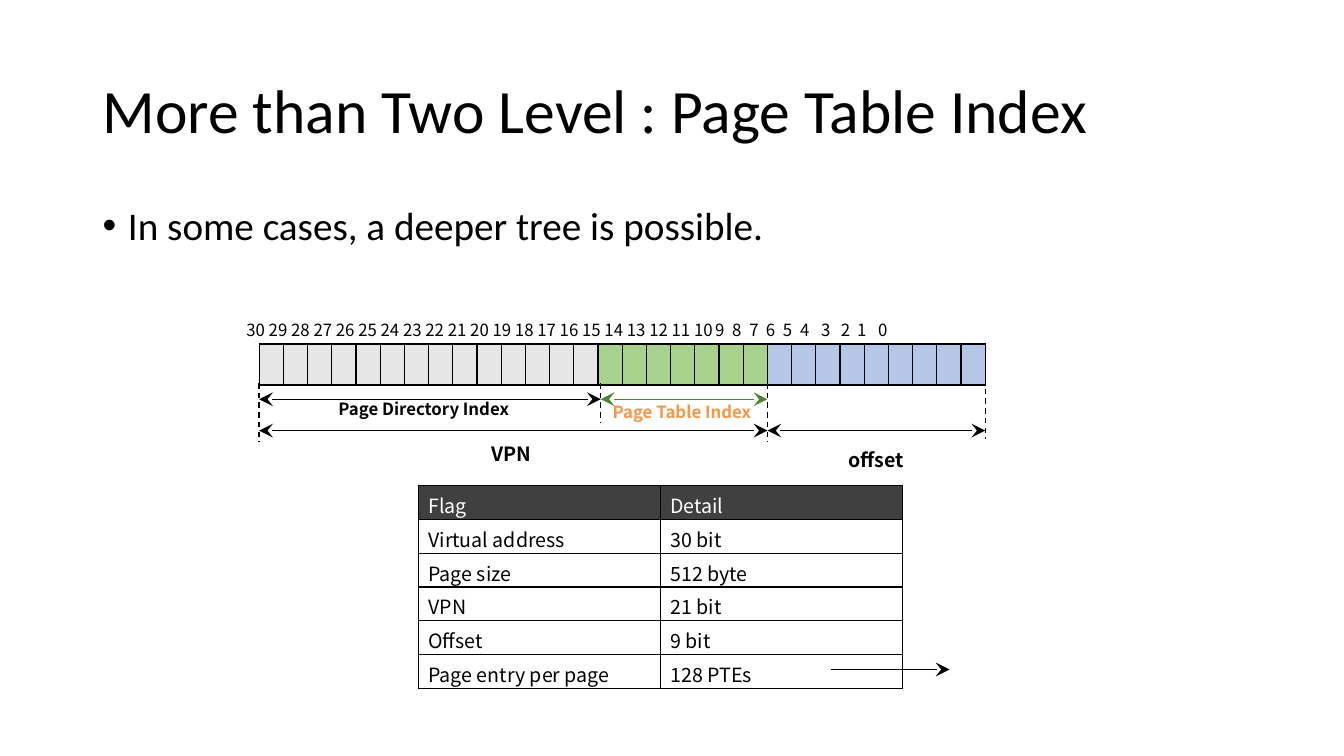
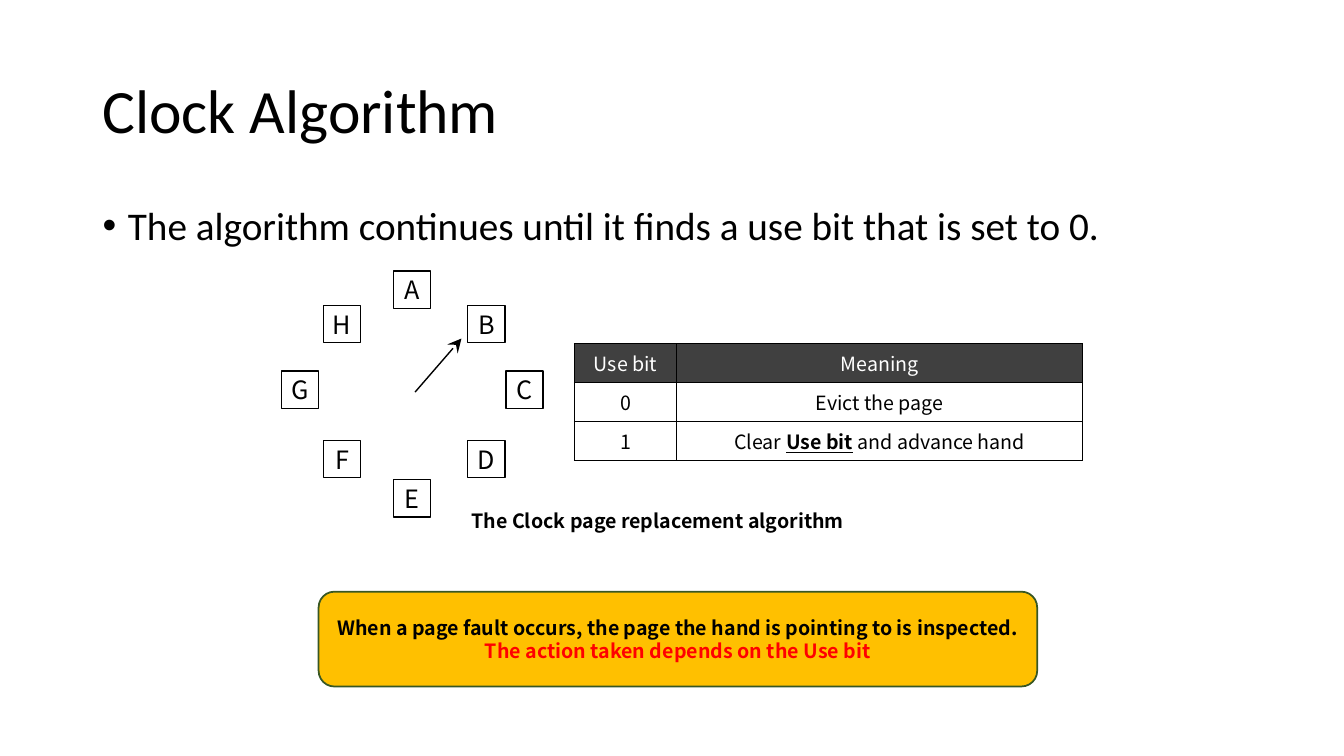
import dataclasses
import itertools
import typing

import lxml.etree
import pptx
import pptx.dml.color
import pptx.enum.dml
import pptx.enum.shapes
import pptx.enum.text
import pptx.oxml.ns
import pptx.util

Cm = pptx.util.Cm
Pt = pptx.util.Pt
qn = pptx.oxml.ns.qn
ALIGN = pptx.enum.text.PP_ALIGN
ANCHOR = pptx.enum.text.MSO_ANCHOR
SHAPE = pptx.enum.shapes.MSO_SHAPE

BLACK, WHITE, HEADER = "000000", "FFFFFF", "404040"
DIRECTORY, PAGE_TABLE, OFFSET = "E7E6E6", "A9D18E", "B4C7E7"
GREEN, ORANGE, AMBER, RED, BANNER_EDGE = "548235", "F79646", "FFC000", "FF0000", "385723"
HEADING_FONT, DIAGRAM_FONT = "Calibri", "Noto Sans CJK KR"

BIT_WIDTH, BITS_LEFT = 0.61, 6.53
VPN_EDGE = BITS_LEFT + 21 * BIT_WIDTH
BITS_RIGHT = BITS_LEFT + 30 * BIT_WIDTH
DIRECTORY_EDGE = 15.14
LOW_BIT_STOPS = (11.93, 12.36, 12.79, 13.21, 13.64, 14.07, 14.6, 15.1, 15.51, 16.04)


class Box(typing.NamedTuple):
    """Position and size in centimetres."""
    left: float
    top: float
    width: float
    height: float

    def lengths(self) -> list:
        """Give the four values as lengths."""
        return [Cm(value) for value in self]


@dataclasses.dataclass(frozen=True)
class Line:
    """A straight line with optional dashes and stealth heads."""
    x1: float
    y1: float
    x2: float
    y2: float
    heads: tuple = ()
    color: str = BLACK
    dashed: bool = False


@dataclasses.dataclass(frozen=True)
class Label:
    """A free piece of bold diagram text."""
    text: str
    box: Box
    size: float = 14
    color: str = BLACK


@dataclasses.dataclass(frozen=True)
class Page:
    """A lettered page on the clock face."""
    letter: str
    left: float
    top: float


def rgb(value: str) -> pptx.dml.color.RGBColor:
    """Turn a hex string into a colour."""
    return pptx.dml.color.RGBColor.from_string(value)


def write(frame, text: str, *, size: float = 14, color: str = BLACK, bold: bool = False,
          underline: bool = False, font: str = DIAGRAM_FONT, align=ALIGN.LEFT) -> None:
    """Append a formatted run to the first paragraph of a frame."""
    paragraph = frame.paragraphs[0]
    paragraph.alignment = align
    run = paragraph.add_run()
    run.text = text
    run.font.size = Pt(size)
    run.font.name = font
    run.font.bold = bold
    run.font.underline = underline
    run.font.color.rgb = rgb(color)


def place(placeholder, box: Box, text: str, size: float, anchor) -> None:
    """Move and fill a heading or list placeholder."""
    placeholder.left, placeholder.top, placeholder.width, placeholder.height = box.lengths()
    frame = placeholder.text_frame
    frame.auto_size = pptx.enum.text.MSO_AUTO_SIZE.NONE
    frame.vertical_anchor = anchor
    write(frame, text, size=size, font=HEADING_FONT)
    frame.paragraphs[0].line_spacing = 0.9
    frame.paragraphs[0].space_before = Pt(0)


def add_page(deck, title: str, point: str):
    """Add a slide with its title and bullet."""
    slide = deck.slides.add_slide(deck.slide_layouts[1])
    place(slide.shapes.title, Box(2.33, 1.02, 29.21, 3.68), title, 44, ANCHOR.MIDDLE)
    body = slide.placeholders[1]
    place(body, Box(2.33, 5.08, 29.21, 12.09), point, 28, ANCHOR.TOP)
    properties = body.text_frame.paragraphs[0]._p.get_or_add_pPr()
    properties.set("marL", str(Cm(0.64)))
    properties.set("indent", str(-Cm(0.64)))
    return slide


def add_label(slide, label: Label):
    """Draw a text label."""
    area = slide.shapes.add_textbox(*label.box.lengths())
    area.text_frame.word_wrap = True
    write(area.text_frame, label.text, size=label.size, color=label.color, bold=True)
    return area


def add_panel(slide, kind, box: Box, fill: str, edge: str, weight: float):
    """Draw a filled and outlined shape and return it."""
    panel = slide.shapes.add_shape(kind, *box.lengths())
    panel.shadow.inherit = False
    panel.fill.solid()
    panel.fill.fore_color.rgb = rgb(fill)
    panel.line.color.rgb = rgb(edge)
    panel.line.width = Pt(weight)
    panel.text_frame.word_wrap = True
    panel.text_frame.vertical_anchor = ANCHOR.MIDDLE
    return panel


def add_line(slide, line: Line) -> None:
    """Draw a line with its dashes and heads."""
    connector = slide.shapes.add_connector(
        pptx.enum.shapes.MSO_CONNECTOR.STRAIGHT,
        Cm(line.x1), Cm(line.y1), Cm(line.x2), Cm(line.y2))
    connector.line.color.rgb = rgb(line.color)
    connector.line.width = Pt(1)
    if line.dashed:
        connector.line.dash_style = pptx.enum.dml.MSO_LINE.DASH
    outline = connector.line._get_or_add_ln()
    for end in line.heads:
        lxml.etree.SubElement(outline, qn(f"a:{end}"), type="stealth", w="lg", len="lg")
    lxml.etree.SubElement(connector._element.spPr, qn("a:effectLst"))


def paint_cell(cell, fill: str) -> None:
    """Give a cell black borders and a fill."""
    properties = cell._tc.get_or_add_tcPr()
    for side in "LRTB":
        border = lxml.etree.SubElement(properties, qn(f"a:ln{side}"), w=str(Pt(1)))
        paint = lxml.etree.SubElement(border, qn("a:solidFill"))
        lxml.etree.SubElement(paint, qn("a:srgbClr"), val=BLACK)
    cell.fill.solid()
    cell.fill.fore_color.rgb = rgb(fill)


def add_grid(slide, left: float, top: float, widths: list, row_height: float, fills: list):
    """Draw a bordered table from rows of fills and return it."""
    box = Box(left, top, sum(widths), row_height * len(fills))
    table = slide.shapes.add_table(len(fills), len(widths), *box.lengths()).table
    table.first_row = table.horz_banding = False
    for column, width in zip(table.columns, widths):
        column.width = Cm(width)
    for row, colors in zip(table.rows, fills):
        row.height = Cm(row_height)
        for cell, color in zip(row.cells, colors):
            paint_cell(cell, color)
    return table


def add_text_table(slide, left: float, top: float, widths: list, row_height: float,
                   rows: list, *, align=ALIGN.LEFT, anchor=ANCHOR.TOP, bottom: float = 0.13):
    """Draw a table with a dark header row."""
    fills = [[HEADER if index == 0 else WHITE] * len(widths) for index in range(len(rows))]
    table = add_grid(slide, left, top, widths, row_height, fills)
    for index, (row, texts) in enumerate(zip(table.rows, rows)):
        for cell, text in zip(row.cells, texts):
            cell.margin_bottom = Cm(bottom)
            cell.vertical_anchor = anchor
            if text:
                write(cell.text_frame, text, color=BLACK if index else WHITE, align=align)
    return table


def add_bit_numbers(slide) -> None:
    """Number the address bits from 30 down to 0."""
    numbers = slide.shapes.add_textbox(*Box(5.87, 7.92, 19.61, 0.76).lengths())
    frame = numbers.text_frame
    frame.word_wrap = True
    frame.margin_left = Cm(0.34)
    stops = lxml.etree.SubElement(frame.paragraphs[0]._p.get_or_add_pPr(), qn("a:tabLst"))
    for stop in LOW_BIT_STOPS:
        lxml.etree.SubElement(stops, qn("a:tab"), pos=str(Cm(stop)), algn="ctr")
    high_bits = " ".join(str(bit) for bit in range(30, 9, -1))
    low_bits = "".join(f"\t{bit}" for bit in range(9, -1, -1))
    write(frame, high_bits + low_bits, size=12)


def build_page_table(deck) -> None:
    """Build the page table index slide."""
    slide = add_page(deck, "More than Two Level : Page Table Index",
                     "In some cases, a deeper tree is possible.")
    fills = [DIRECTORY] * 14 + [PAGE_TABLE] * 7 + [OFFSET] * 9
    bits = add_grid(slide, BITS_LEFT, 8.67, [BIT_WIDTH] * 30, 1.03, [fills])
    for cell in bits.iter_cells():
        cell.margin_left = cell.margin_right = cell.margin_top = cell.margin_bottom = 0
    add_bit_numbers(slide)
    add_text_table(slide, 10.54, 12.24, [6.1, 6.1], 0.85, [
        ("Flag", "Detail"),
        ("Virtual address", "30 bit"),
        ("Page size", "512 byte"),
        ("VPN", "21 bit"),
        ("Offset", "9 bit"),
        ("Page entry per page", "128 PTEs"),
    ], bottom=0)
    for label in (
        Label("offset", Box(21.13, 11.15, 2.36, 0.86)),
        Label("VPN", Box(12.14, 11.0, 2.36, 0.86)),
        Label("Page Table Index", Box(15.19, 10.01, 4.47, 0.76), 12, ORANGE),
        Label("Page Directory Index", Box(8.28, 9.93, 4.9, 0.76), 12),
    ):
        add_label(slide, label)
    both = ("headEnd", "tailEnd")
    for line in (
        Line(20.93, 16.87, 23.93, 16.87, ("tailEnd",)),
        Line(BITS_LEFT, 9.65, BITS_LEFT, 11.15, dashed=True),
        Line(VPN_EDGE, 9.65, VPN_EDGE, 11.15, dashed=True),
        Line(BITS_RIGHT, 9.55, BITS_RIGHT, 11.05, dashed=True),
        Line(DIRECTORY_EDGE, 9.65, DIRECTORY_EDGE, 10.67, dashed=True),
        Line(BITS_LEFT, 10.85, VPN_EDGE, 10.85, both),
        Line(VPN_EDGE, 10.85, BITS_RIGHT, 10.85, both),
        Line(BITS_LEFT, 10.06, DIRECTORY_EDGE, 10.06, both),
        Line(DIRECTORY_EDGE, 10.06, VPN_EDGE, 10.06, both, GREEN),
    ):
        add_line(slide, line)


def build_clock(deck) -> None:
    """Build the clock algorithm slide."""
    slide = add_page(deck, "Clock Algorithm",
                     "The algorithm continues until it finds a use bit that is set to 0.")
    lefts = (9.91, 11.79, 12.75, 11.79, 9.91, 8.15, 7.09, 8.15)
    tops = (6.83, 7.7, 9.35, 11.1, 12.09, 11.1, 9.35, 7.7)
    for page in itertools.starmap(Page, zip("ABCDEFGH", lefts, tops)):
        square = add_panel(slide, SHAPE.RECTANGLE, Box(page.left, page.top, 0.94, 0.94),
                           WHITE, BLACK, 1)
        frame = square.text_frame
        frame.margin_left = frame.margin_right = frame.margin_top = frame.margin_bottom = 0
        write(frame, page.letter, size=18, align=ALIGN.CENTER)
    add_line(slide, Line(10.46, 9.88, 11.63, 8.53, ("tailEnd",)))

    banner = add_panel(slide, SHAPE.ROUNDED_RECTANGLE, Box(8.03, 14.91, 18.11, 2.39),
                       AMBER, BANNER_EDGE, 1.25).text_frame
    banner.margin_left = banner.margin_right = Cm(0.3)
    write(banner, "When a page fault occurs, the page the hand is pointing to is inspected. ",
          bold=True, align=ALIGN.CENTER)
    write(banner, "The action taken depends on the Use bit",
          color=RED, bold=True, align=ALIGN.CENTER)

    meanings = add_text_table(slide, 14.48, 8.66, [2.57, 10.24], 0.98, [
        ("Use bit", "Meaning"),
        ("0", "Evict the page"),
        ("1", ""),
    ], align=ALIGN.CENTER, anchor=ANCHOR.MIDDLE)
    advance = meanings.cell(2, 1).text_frame
    write(advance, "Clear ", align=ALIGN.CENTER)
    write(advance, "Use bit", bold=True, underline=True, align=ALIGN.CENTER)
    write(advance, " and advance hand", align=ALIGN.CENTER)

    caption = add_label(slide, Label("The Clock page replacement algorithm",
                                     Box(11.63, 12.7, 10.21, 0.86)))
    caption.fill.solid()
    caption.fill.fore_color.rgb = rgb(WHITE)


def main() -> None:
    """Build and save the deck."""
    deck = pptx.Presentation()
    deck.slide_width, deck.slide_height = Cm(33.87), Cm(19.05)
    build_page_table(deck)
    build_clock(deck)
    deck.save("out.pptx")


if __name__ == "__main__":
    main()
